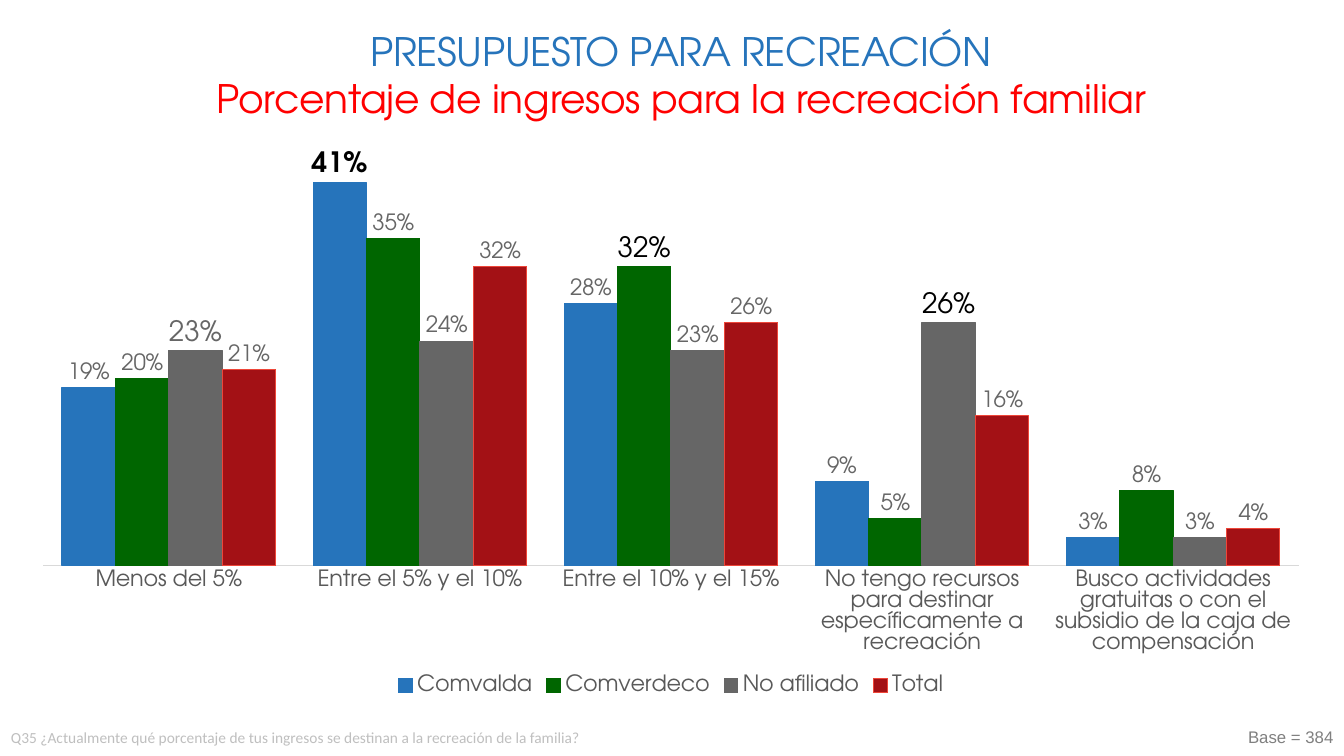
from lxml import etree
from pptx import Presentation
from pptx.chart.data import CategoryChartData as ChartData
from pptx.dml.color import RGBColor
from pptx.enum.chart import XL_CHART_TYPE as Kind, XL_LABEL_POSITION as Spot
from pptx.enum.chart import XL_LEGEND_POSITION as Place, XL_TICK_MARK as Tick
from pptx.enum.text import MSO_ANCHOR as Anchor, PP_ALIGN as Align
from pptx.oxml import parse_xml
from pptx.util import Inches, Pt

FACE = "TeX Gyre Adventor"
GRAY = "666666"


def tint(code):
    return RGBColor.from_string(code)


def write(par, text, size=28, face=FACE, color="000000", space=None):
    run = par.add_run()
    run.text = text
    run.font.size = Pt(size)
    run.font.name = face
    run.font.color.rgb = tint(color)
    if space is not None:
        run.font._element.set("spc", str(space))


deck = Presentation()
deck.slide_width, deck.slide_height = Inches(13.33), Inches(7.5)
slide = deck.slides.add_slide(deck.slide_layouts[5])

# Title in two colours
title = slide.shapes.title
title.left, title.top = Inches(1.43), Inches(0.26)
title.width, title.height = Inches(10.65), Inches(0.96)
frame = title.text_frame
frame.word_wrap = True
frame.vertical_anchor = Anchor.TOP
frame.margin_left = frame.margin_right = frame.margin_bottom = 0
frame.margin_top = Inches(0.01)
par = frame.paragraphs[0]
par.alignment = Align.CENTER
write(par, "PRESUPUESTO PARA RECREACIÓN", color="2674BB", space=-20)
par.add_line_break()
write(par, "Porcentaje de ingresos para la recreación familiar",
      color="FF0000", space=-20)

# Chart data: name, values, fill, line
groups = [
    ("Comvalda", (0.19, 0.41, 0.28, 0.09, 0.03), "2674BB", "2674BB"),
    ("Comverdeco", (0.20, 0.35, 0.32, 0.05, 0.08), "006600", "006600"),
    ("No afiliado", (0.23, 0.24, 0.23, 0.26, 0.03), GRAY, GRAY),
    ("Total", (0.21, 0.32, 0.26, 0.16, 0.04), "A31115", "EE4639"),
]
data = ChartData(number_format="0%")
data.categories = [
    "Menos del 5%", "Entre el 5% y el 10%", "Entre el 10% y el 15%",
    "No tengo recursos para destinar específicamente a recreación",
    "Busco actividades gratuitas o con el subsidio de la caja de compensación",
]
for name, vals, fill, line in groups:
    data.add_series(name, vals)
chart = slide.shapes.add_chart(
    Kind.COLUMN_CLUSTERED, Inches(0.17), Inches(1.38),
    Inches(12.97), Inches(5.57), data).chart
chart.has_title = False
chart.font.size, chart.font.name = Pt(10), "Calibri"
chart.has_legend = True
chart.legend.position = Place.BOTTOM
chart.legend.include_in_layout = False

# Axes
base, scale = chart.category_axis, chart.value_axis
base.major_tick_mark = base.minor_tick_mark = Tick.NONE
base.format.line.color.rgb = tint("D9D9D9")
base.format.line.width = Pt(0.75)
scale.has_major_gridlines = False
scale.minimum_scale, scale.maximum_scale = 0, 0.45
scale.visible = False

# Bars and their labels
plot = chart.plots[0]
plot.gap_width, plot.overlap = 70, 0
plot.vary_by_categories = False
fonts = [(chart.legend.font, 16, "595959"), (base.tick_labels.font, 16, "595959")]
for bars, (name, vals, fill, line) in zip(plot.series, groups):
    bars.format.fill.solid()
    bars.format.fill.fore_color.rgb = tint(fill)
    bars.format.line.color.rgb = tint(line)
    bars.format.line.width = Pt(0.75)
    tags = bars.data_labels
    tags.show_value = True
    tags.number_format, tags.number_format_is_linked = "0%", False
    tags.position = Spot.OUTSIDE_END
    fonts.append((tags.font, 16, GRAY))

# Larger labels on the leading bars: series, category, colour
for row, col, color in ((0, 1, "000000"), (1, 2, "000000"),
                        (2, 0, GRAY), (2, 3, "000000")):
    tag = plot.series[row].points[col].data_label
    fonts.append((tag.font, 20, color))
    tag.position = Spot.OUTSIDE_END
    tag.font.bold = row == 0
for font, size, color in fonts:
    font.size, font.name = Pt(size), FACE
    font.color.rgb = tint(color)

# Fixed plot area, as shares of the chart
space = "http://schemas.openxmlformats.org/drawingml/2006/chart"
area = chart._chartSpace.find(f".//{{{space}}}plotArea")
for old in area.findall(f"{{{space}}}layout"):
    area.remove(old)
lay = parse_xml(f'<c:layout xmlns:c="{space}"/>')
box = etree.SubElement(lay, f"{{{space}}}manualLayout")
for key, val in (("layoutTarget", "inner"), ("xMode", "edge"), ("yMode", "edge"),
                 ("x", 0.02), ("y", 0.01), ("w", 0.96), ("h", 0.75)):
    etree.SubElement(box, f"{{{space}}}{key}").set("val", str(val))
area.insert(0, lay)

# Footer: question and base
for left, top, wide, high, wrap, text, size, face, color in (
    (0.01, 7.17, 9.41, 0.29, True,
     "Q35 ¿Actualmente qué porcentaje de tus ingresos se destinan a la "
     "recreación de la familia?", 11, "Calibri", "BFBFBF"),
    (12.28, 7.16, 1.06, 0.3, False, "Base = 384", 12, "Arial", "808080"),
):
    note = slide.shapes.add_textbox(
        Inches(left), Inches(top), Inches(wide), Inches(high)).text_frame
    note.word_wrap = wrap
    write(note.paragraphs[0], text, size, face, color)

deck.save("out.pptx")
